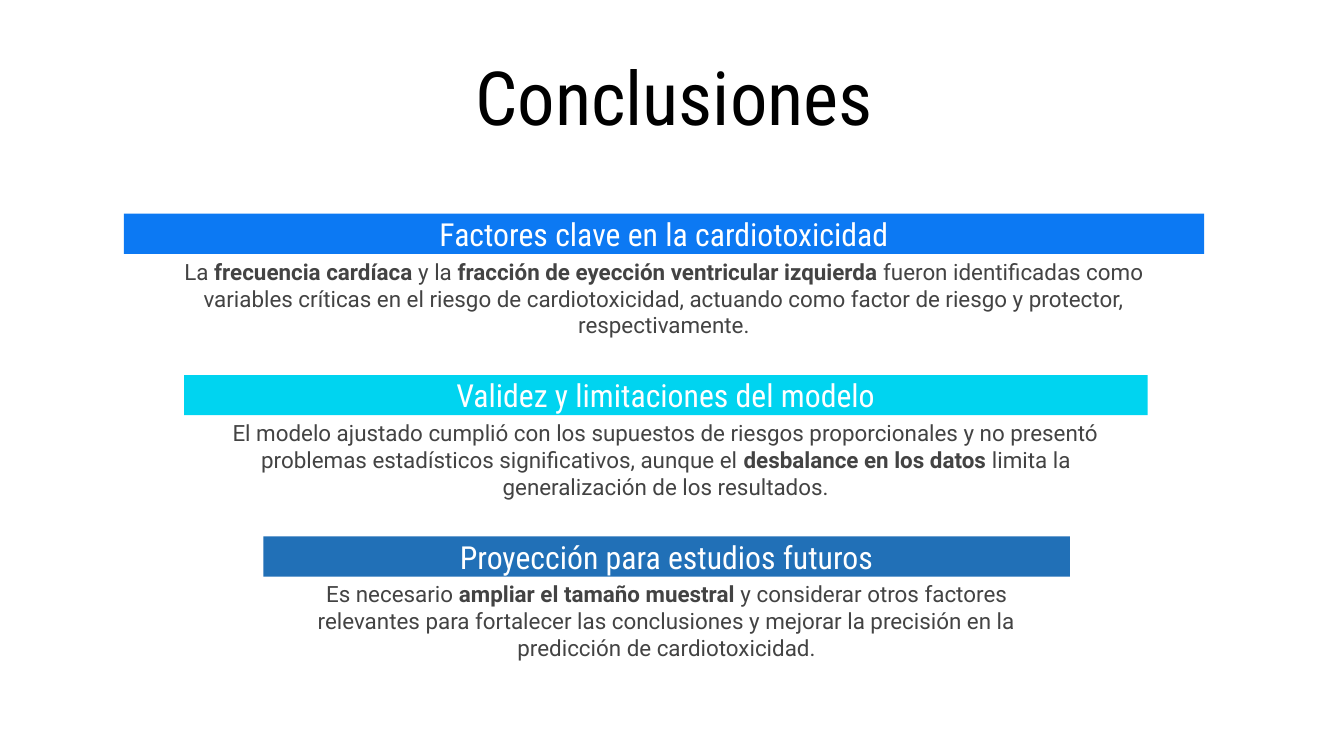
"""Build the conclusions slide with three tapering sections."""
import pptx
import pptx.dml.color
import pptx.enum.shapes
import pptx.enum.text
import pptx.util

Cm = pptx.util.Cm
Pt = pptx.util.Pt


def tint(code):
    return pptx.dml.color.RGBColor.from_string(code)


class Deck:
    head = {"name": "Roboto Condensed", "size": Pt(40), "bold": False}
    label = {"name": "Roboto Condensed", "size": Pt(17), "bold": False}
    body = {"name": "Roboto", "size": Pt(12), "bold": False}
    frame = {
        "word_wrap": True,
        "auto_size": pptx.enum.text.MSO_AUTO_SIZE.NONE,
        "vertical_anchor": pptx.enum.text.MSO_ANCHOR.MIDDLE,
        "margin_left": Cm(0.25),
        "margin_right": Cm(0.25),
        "margin_top": Cm(0.25),
        "margin_bottom": Cm(0.25),
    }

    def __init__(self, width, height):
        self.file = pptx.Presentation()
        self.file.slide_width = Cm(width)
        self.file.slide_height = Cm(height)
        self.slide = self.file.slides.add_slide(self.file.slide_layouts[5])

    def apply(self, item, values):
        for key, value in values.items():
            setattr(item, key, value)

    def letter(self, shape, text, style, color):
        self.apply(shape.text_frame, self.frame)
        para = shape.text_frame.paragraphs[0]
        para.alignment = pptx.enum.text.PP_ALIGN.CENTER
        for index, part in enumerate(text.split("*")):
            run = para.add_run()
            run.text = part
            self.apply(run.font, style)
            run.font.color.rgb = tint(color)
            if index % 2:
                run.font.bold = True

    def title(self, text, left, top, width, height):
        shape = self.slide.shapes.title
        box = {"left": left, "top": top, "width": width, "height": height}
        self.apply(shape, {key: Cm(value) for key, value in box.items()})
        self.letter(shape, text, self.head, "000000")

    def bar(self, group, text, fill, *box):
        kind = pptx.enum.shapes.MSO_SHAPE.RECTANGLE
        shape = group.shapes.add_shape(kind, *map(Cm, box))
        shape.shadow.inherit = False
        shape.fill.solid()
        shape.fill.fore_color.rgb = tint(fill)
        shape.line.fill.background()
        self.letter(shape, text, self.label, "FFFFFF")

    def note(self, group, text, *box):
        shape = group.shapes.add_textbox(*map(Cm, box))
        self.letter(shape, text, self.body, "434343")

    def section(self, label, text, fill, left, top, width):
        group = self.slide.shapes.add_group_shape()
        self.note(group, text, left, top + 0.81, width, 1.57)
        self.bar(group, label, fill, left, top, width, 0.76)


def main():
    deck = Deck(25.4, 14.29)
    deck.title("Conclusiones", 1.35, 1.14, 22.78, 1.35)
    parts = [
        ("Factores clave en la cardiotoxicidad",
         "La *frecuencia cardíaca* y la *fracción de eyección ventricular "
         "izquierda *fueron identificadas como variables críticas en el riesgo "
         "de cardiotoxicidad, actuando como factor de riesgo y protector, "
         "respectivamente.", "0C79F3", 2.34, 20.42),
        ("Validez y limitaciones del modelo",
         "El modelo ajustado cumplió con los supuestos de riesgos "
         "proporcionales y no presentó problemas estadísticos significativos, "
         "aunque el *desbalance en los datos *limita la generalización de los "
         "resultados.", "00D4F0", 3.48, 18.21),
        ("Proyección para estudios futuros",
         "Es necesario *ampliar el tamaño muestral *y considerar otros "
         "factores relevantes para fortalecer las conclusiones y mejorar la "
         "precisión en la predicción de cardiotoxicidad.",
         "2170B7", 4.98, 15.24),
    ]
    for row, (label, text, fill, left, width) in enumerate(parts):
        deck.section(label, text, fill, left, 4.04 + 3.05 * row, width)
    deck.file.save("out.pptx")


if __name__ == "__main__":
    main()
